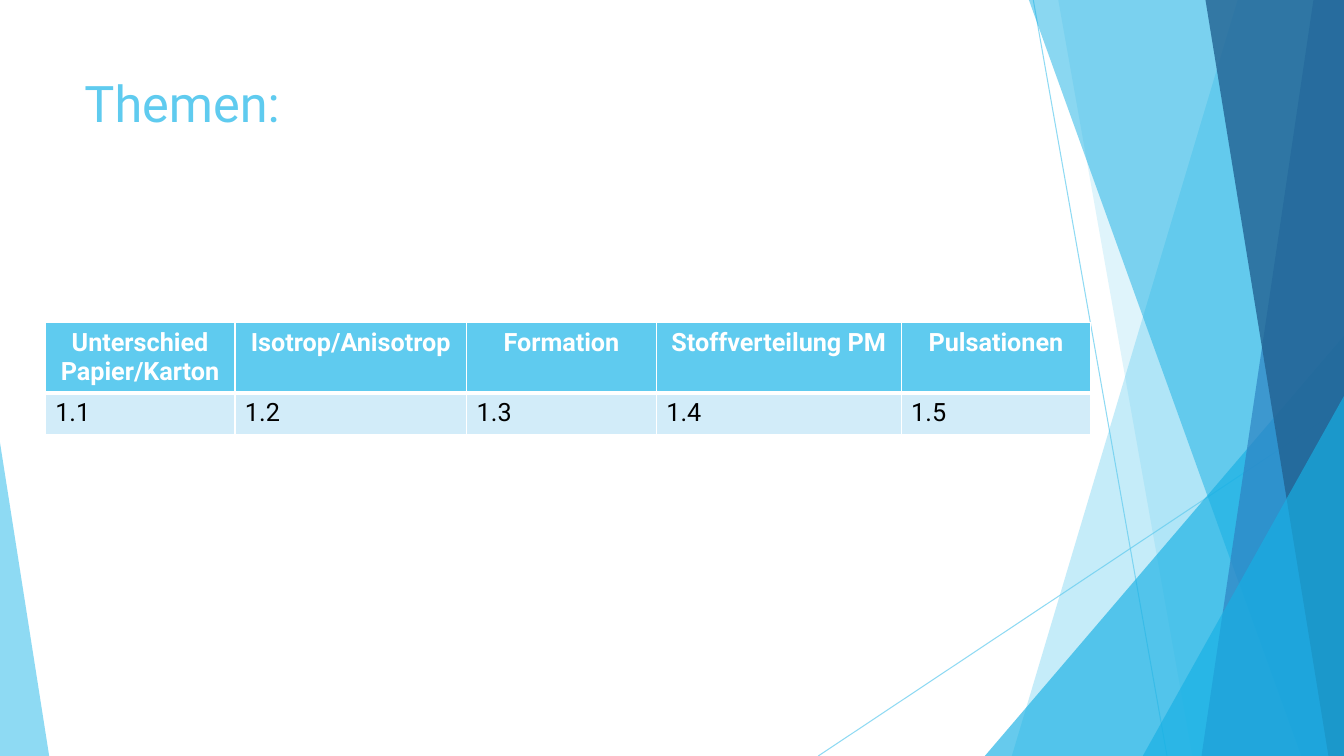
"""Build the topics slide: faceted side bands, a title and a table of five topics."""
import dataclasses
import typing

import lxml.etree
import pptx
import pptx.dml.color
import pptx.enum.shapes
import pptx.enum.text
import pptx.oxml
import pptx.oxml.ns
import pptx.util

Cm = pptx.util.Cm
WIDTH, HEIGHT = 33.87, 19.05
FONT = "Roboto"
COLORS = {
    "sky": "5FCBEF",
    "cyan": "17B0E4",
    "blue": "2E83C3",
    "navy": "226292",
    "pale": "D2ECF9",
    "white": "FFFFFF",
    "black": "000000",
}


@dataclasses.dataclass(frozen=True)
class Ray:
    start: tuple[float, float]
    end: tuple[float, float]


@dataclasses.dataclass(frozen=True)
class Band:
    top_left: float
    bottom_left: float
    color: str
    opacity: int


@dataclasses.dataclass(frozen=True)
class Triangle:
    left: float
    top: float
    width: float
    apex: float
    color: str
    opacity: int


@dataclasses.dataclass(frozen=True)
class Topic:
    heading: str
    number: str
    width: float


RAYS = [Ray((26.04, 0), (29.41, HEIGHT)), Ray((WIDTH, 10.24), (20.62, HEIGHT))]
FACETS = [
    Band(31.19, 25.5, "sky", 36),
    Band(26.67, 30.05, "sky", 20),
    Triangle(24.82, 8.46, 9.05, 1, "cyan", 66),
    Band(25.93, 32.79, "cyan", 50),
    Band(33.1, 30.28, "blue", 70),
    Band(30.38, 33.48, "navy", 80),
    Triangle(28.8, 9.98, 5.07, 1, "cyan", 66),
    Triangle(0, 11.15, 1.24, 0, "sky", 70),
]
TOPICS = [
    Topic("Unterschied Papier/Karton", "1.1", 4.78),
    Topic("Isotrop/Anisotrop", "1.2", 5.84),
    Topic("Formation", "1.3", 4.78),
    Topic("Stoffverteilung PM", "1.4", 6.17),
    Topic("Pulsationen", "1.5", 4.78),
]
ROW_HEIGHTS = [1.7, 1.04]


def rgb(color: str) -> pptx.dml.color.RGBColor:
    """Look up a named colour."""
    return pptx.dml.color.RGBColor.from_string(COLORS[color])


def set_opacity(element: typing.Any, opacity: int) -> None:
    """Add an opacity in percent to the colour inside an element."""
    color = next(element.iter(pptx.oxml.ns.qn("a:srgbClr")))
    alpha = lxml.etree.SubElement(color, pptx.oxml.ns.qn("a:alpha"))
    alpha.set("val", str(opacity * 1000))


def write_text(frame: typing.Any, text: str, *, size: float, color: str,
               bold: bool = False, centered: bool = False) -> None:
    """Write one formatted paragraph into a text frame."""
    frame.word_wrap = True
    paragraph = frame.paragraphs[0]
    align = pptx.enum.text.PP_ALIGN
    paragraph.alignment = align.CENTER if centered else align.LEFT
    run = paragraph.add_run()
    run.text = text
    run.font.name = FONT
    run.font.size = pptx.util.Pt(size)
    run.font.bold = bold
    run.font.color.rgb = rgb(color)


def draw_ray(slide: typing.Any, ray: Ray) -> None:
    """Draw a thin translucent line."""
    connector = slide.shapes.add_connector(
        pptx.enum.shapes.MSO_CONNECTOR.STRAIGHT,
        *(Cm(value) for value in ray.start + ray.end))
    connector.line.color.rgb = rgb("sky")
    connector.line.width = pptx.util.Pt(0.75)
    properties = connector._element.spPr
    set_opacity(properties, 70)
    lxml.etree.SubElement(properties, pptx.oxml.ns.qn("a:effectLst"))


def draw_facet(slide: typing.Any, facet: Band | Triangle) -> None:
    """Draw a translucent band or triangle that reaches the slide's lower edge."""
    if isinstance(facet, Band):
        builder = slide.shapes.build_freeform(Cm(facet.top_left), 0, scale=1.0)
        corners = [(WIDTH, 0), (WIDTH, HEIGHT), (facet.bottom_left, HEIGHT)]
        builder.add_line_segments([(Cm(x), Cm(y)) for x, y in corners], close=True)
        shape = builder.convert_to_shape()
    else:
        shape = slide.shapes.add_shape(
            pptx.enum.shapes.MSO_SHAPE.ISOSCELES_TRIANGLE, Cm(facet.left),
            Cm(facet.top), Cm(facet.width), Cm(HEIGHT - facet.top))
        shape.adjustments[0] = facet.apex
    shape.shadow.inherit = False
    shape.line.fill.background()
    shape.fill.solid()
    shape.fill.fore_color.rgb = rgb(facet.color)
    set_opacity(shape._element.spPr, facet.opacity)


def set_borders(cell: typing.Any, widths: dict[str, float]) -> None:
    """Give a cell white borders ahead of its fill."""
    properties = cell._tc.get_or_add_tcPr()
    for index, (side, width) in enumerate(widths.items()):
        border = pptx.oxml.parse_xml(
            f'<a:ln{side} {pptx.oxml.ns.nsdecls("a")} w="{pptx.util.Pt(width)}">'
            f'<a:solidFill><a:srgbClr val="{COLORS["white"]}"/></a:solidFill>'
            f'</a:ln{side}>')
        properties.insert(index, border)


def draw_topics(slide: typing.Any, topics: list[Topic]) -> None:
    """Draw the table with a heading row and a number row."""
    table = slide.shapes.add_table(
        len(ROW_HEIGHTS), len(topics), Cm(1.14), Cm(8.13),
        Cm(sum(topic.width for topic in topics)), Cm(sum(ROW_HEIGHTS))).table
    for row, height in zip(table.rows, ROW_HEIGHTS):
        row.height = Cm(height)
    for column, topic in enumerate(topics):
        table.columns[column].width = Cm(topic.width)
        for row, text in enumerate((topic.heading, topic.number)):
            heading = row == 0
            cell = table.cell(row, column)
            cell.fill.solid()
            cell.fill.fore_color.rgb = rgb("sky" if heading else "pale")
            set_borders(cell, {"L": 1, "R": 1, "T": 1 if heading else 3,
                               "B": 3 if heading else 1})
            write_text(cell.text_frame, text, size=18, bold=heading,
                       color="white" if heading else "black", centered=heading)


def main() -> None:
    """Assemble and save the slide."""
    presentation = pptx.Presentation()
    presentation.slide_width = Cm(WIDTH)
    presentation.slide_height = Cm(HEIGHT)
    slide = presentation.slides.add_slide(presentation.slide_layouts[6])
    for ray in RAYS:
        draw_ray(slide, ray)
    for facet in FACETS:
        draw_facet(slide, facet)
    title = slide.shapes.add_textbox(Cm(1.88), Cm(1.7), Cm(23.88), Cm(3.66))
    write_text(title.text_frame, "Themen:", size=36, color="sky")
    draw_topics(slide, TOPICS)
    presentation.save("out.pptx")


if __name__ == "__main__":
    main()
